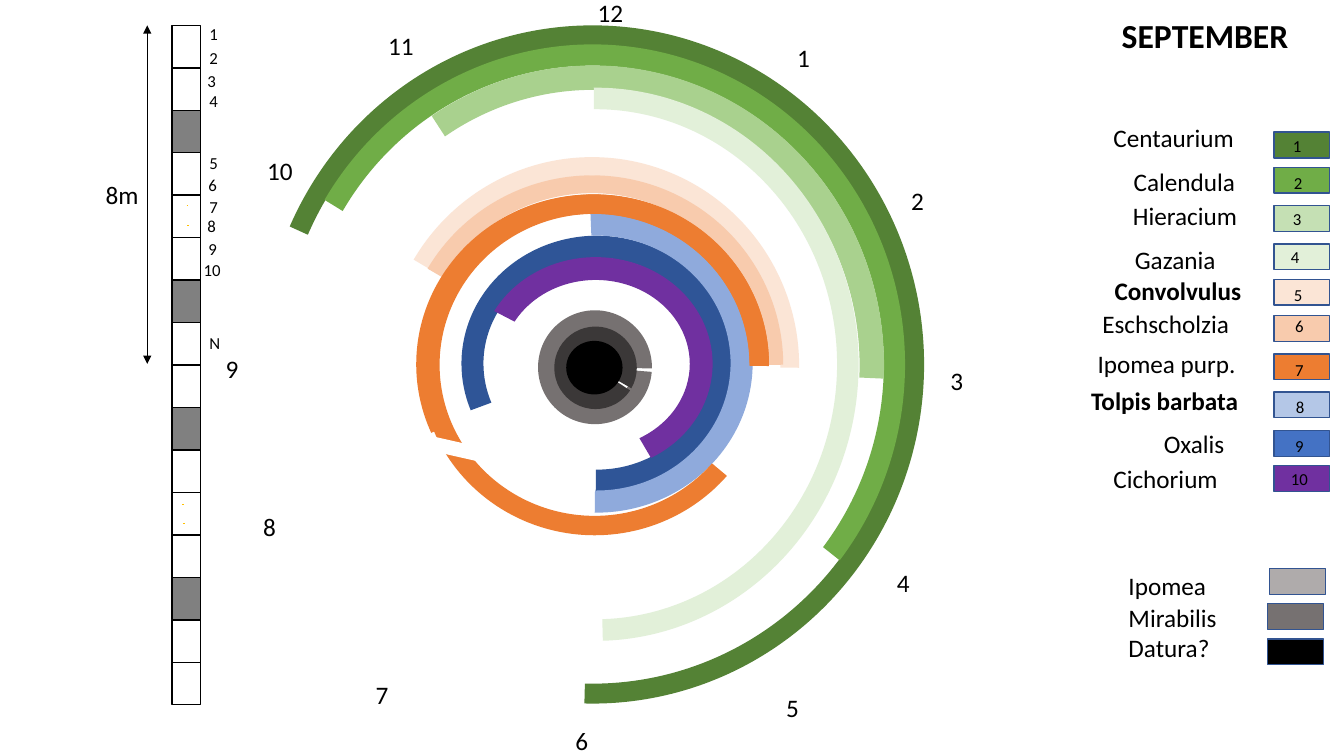
"""Flower clock for September: opening hours of each plant around a dial."""
from dataclasses import dataclass

from lxml import etree
from pptx import Presentation
from pptx.dml.color import RGBColor
from pptx.enum.shapes import MSO_CONNECTOR, MSO_SHAPE
from pptx.oxml.ns import qn
from pptx.slide import Slide
from pptx.util import Cm, Pt

ARC, RECT, OVAL = MSO_SHAPE.BLOCK_ARC, MSO_SHAPE.RECTANGLE, MSO_SHAPE.OVAL
STRAIGHT = MSO_CONNECTOR.STRAIGHT


def color(hex_code):
    """Turn a hex string into a colour."""
    return RGBColor.from_string(hex_code)


@dataclass
class Dial:
    """Style and current slide; every length is in centimetres."""
    slide: Slide
    font: str = "Calibri"
    ink: str = "000000"
    border: str = "325491"

    def shape(self, kind, left, top, width, height, fill=None, line=None):
        """Add a preset shape with optional fill and outline."""
        item = self.slide.shapes.add_shape(kind, Cm(left), Cm(top), Cm(width), Cm(height))
        item.shadow.inherit = False
        if fill:
            item.fill.solid()
            item.fill.fore_color.rgb = color(fill)
        else:
            item.fill.background()
        if line:
            item.line.color.rgb = color(line)
            item.line.width = Pt(1)
        else:
            item.line.fill.background()
        return item

    def arc(self, fill, left, top, width, height, start, end, percent):
        """Add a ring segment running clockwise between two angles in degrees."""
        ring = self.shape(ARC, left, top, width, height, fill)
        for index, value in enumerate((start * 0.6, end * 0.6, percent / 100)):
            ring.adjustments[index] = value

    def swatch(self, left, top, fill):
        """Add a legend colour field."""
        self.shape(RECT, left, top, 1.4, 0.65, fill, self.border)

    def text(self, words, left, top, width, height=1.02, size=18, bold=False):
        """Add a one-line label."""
        frame = self.slide.shapes.add_textbox(
            Cm(left), Cm(top), Cm(width), Cm(height)).text_frame
        frame.word_wrap = True
        run = frame.paragraphs[0].add_run()
        run.text = words
        run.font.name, run.font.size, run.font.bold = self.font, Pt(size), bold
        run.font.color.rgb = color(self.ink)

    def small(self, words, left, top):
        """Add a small plant number."""
        self.text(words, left, top, 0.55 + 0.24 * len(words), 0.77, 12)

    def line(self, x1, y1, x2, y2, stroke, arrows=False):
        """Add a thin line, with arrowheads at both ends if wanted."""
        item = self.slide.shapes.add_connector(STRAIGHT, Cm(x1), Cm(y1), Cm(x2), Cm(y2))
        item.line.color.rgb = color(stroke)
        item.line.width = Pt(0.5)
        if arrows:
            outline = item.line._get_or_add_ln()
            for end in ("a:headEnd", "a:tailEnd"):
                etree.SubElement(outline, qn(end), type="triangle")
        etree.SubElement(item._element.spPr, qn("a:effectLst"))


DAY_ARCS = [
    ("548235", 6.58, 0.64, 16.71, 17.09, 204.49, 91.38, 3),
    ("70AD47", 7.06, 1.12, 15.75, 16.13, 211.55, 38.4, 3.4),
    ("2F5597", 11.63, 5.94, 6.83, 6.45, 159.74, 90.54, 8.6),
    ("7030A0", 12.07, 6.48, 5.89, 5.38, 207.47, 59.57, 10.7),
    ("8FAADC", 11.1, 5.38, 7.87, 7.54, 267.67, 90.69, 7.4),
    ("FBE5D6", 9.7, 3.96, 10.44, 10.52, 210.78, 0.53, 4.5),
    ("A9D18E", 7.62, 1.65, 14.66, 15.11, 237.07, 2.64, 4.2),
    ("F8CBAD", 10.11, 4.42, 9.63, 9.55, 210.3, 359.98, 4.7),
    ("ED7D31", 10.49, 4.9, 8.89, 8.56, 156.98, 0.39, 5.7),
    ("E2F0D9", 8.38, 2.21, 13.26, 13.94, 269.63, 88.49, 4.1),
    ("ED7D31", 10.59, 4.9, 8.79, 8.59, 40, 0.39, 5.7),
]
NIGHT_ARCS = [
    ("767171", 13.56, 7.82, 2.87, 2.87, 4.7, 1.25, 16.5),
    ("3B3838", 13.97, 8.23, 2.08, 2.08, 33.23, 29.73, 21.7),
]
HOURS = [
    (19.84, 0.94), (22.71, 4.55), (23.7, 9.09), (22.35, 14.17), (19.56, 17.32),
    (14.25, 18.16), (9.22, 16.99), (6.38, 12.75), (5.44, 8.79), (6.48, 3.78),
    (9.53, 0.64), (14.81, -0.2),
]
DAY_PLANTS = [
    ("Centaurium", 27.81, 2.97, 3.6, "548235", 3.33, 32.33, 3.3),
    ("Calendula", 28.32, 4.06, 3.15, "70AD47", 4.22, 32.36, 4.22),
    ("Hieracium", 28.3, 4.93, 3.2, "C5E0B4", 5.18, 32.33, 5.13),
    ("Gazania", 28.35, 6.02, 2.6, "E2F0D9", 6.15, 32.28, 6.1),
    ("Convolvulus", 27.84, 6.81, 3.8, "FBE5D6", 7.04, 32.36, 7.04),
    ("Eschscholzia", 27.53, 7.65, 4.32, "F8CBAD", 7.95, 32.39, 7.82),
    ("Ipomea purp.", 27.41, 8.66, 4.9, "ED7D31", 8.92, 32.39, 8.94),
    ("Tolpis barbata", 27.25, 9.58, 4.3, "B4C7E7", 9.88, 32.41, 9.86),
    ("Oxalis", 29.08, 10.67, 2.1, "4472C4", 10.85, 32.39, 10.85),
    ("Cichorium", 27.81, 11.56, 3.2, "7030A0", 11.73, 32.28, 11.68),
]
BOLD_PLANTS = ("Convolvulus", "Tolpis barbata")
NIGHT_PLANTS = [
    ("Ipomea", 14.25, "AFABAB", 32, 14.33),
    ("Mirabilis", 15.06, "767171", 31.95, 15.21),
    ("Datura?", 15.82, "000000", 31.95, 16.1),
]
PLOT_NUMBERS = [
    ("1", 5.03, 0.48), ("2", 5.03, 1.07), ("3", 4.98, 1.65), ("4", 5.03, 2.16),
    ("5", 5.03, 3.73), ("6", 5, 4.27), ("7", 5.03, 4.83), ("8", 4.98, 5.31),
    ("9", 5, 5.89), ("10", 4.88, 6.43), ("N", 5.03, 8.26),
]
PLOT_COUNT, PLOT_TOP, PLOT_HEIGHT = 16, 0.64, 1.07
GREY_PLOTS = (2, 6, 9, 13)
PLOT_TICKS = [(4.7, 5.18), (4.72, 5.69), (4.62, 13.18), (4.6, 12.7)]

deck = Presentation()
deck.slide_width, deck.slide_height = Cm(33.87), Cm(19.05)
dial = Dial(deck.slides.add_slide(deck.slide_layouts[6]))

for segment in DAY_ARCS:
    dial.arc(*segment)
gap = dial.shape(RECT, 10.29, 11.25, 3.28, 0.33, "FFFFFF", "FFFFFF")
gap.rotation = 12.7
for segment in NIGHT_ARCS:
    dial.arc(*segment)
dial.shape(OVAL, 14.27, 8.59, 1.42, 1.35, "000000")

for hour, (left, top) in enumerate(HOURS, 1):
    dial.text(str(hour), left, top, 0.71 if hour < 10 else 1.35, 1.07)

for plot in range(PLOT_COUNT):
    dial.shape(RECT, 4.34, PLOT_TOP + plot * PLOT_HEIGHT, 0.71, PLOT_HEIGHT,
               "808080" if plot in GREY_PLOTS else None, dial.ink)
for left, top in PLOT_TICKS:
    dial.line(left, top, left + 0.05, top, "FFC000")
for plot_number in PLOT_NUMBERS:
    dial.small(*plot_number)
dial.line(3.71, PLOT_TOP, 3.71, 9.17, dial.ink, arrows=True)
dial.text("8m", 2.41, 4.39, 1.52)

dial.text("SEPTEMBER", 28.02, 0.25, 4.8, 1.27, 24, True)
for number, plant in enumerate(DAY_PLANTS, 1):
    name, left, top, width, fill, swatch_top, number_left, number_top = plant
    dial.text(name, left, top, width, bold=name in BOLD_PLANTS)
    dial.swatch(32.11, swatch_top, fill)
    dial.small(str(number), number_left, number_top)
for name, top, fill, swatch_left, swatch_top in NIGHT_PLANTS:
    dial.text(name, 28.19, top, 2.8)
    dial.swatch(swatch_left, swatch_top, fill)

deck.save("out.pptx")
